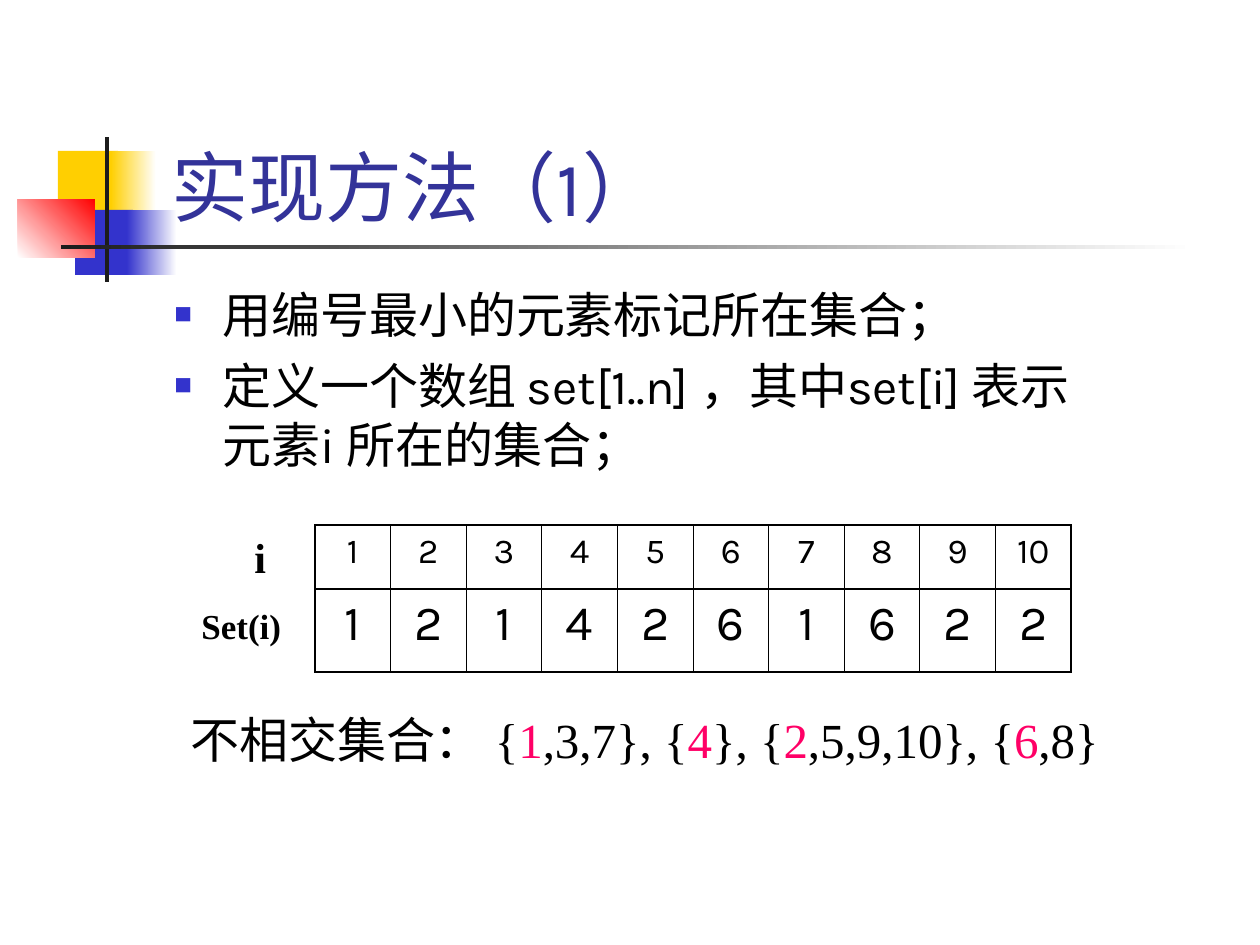
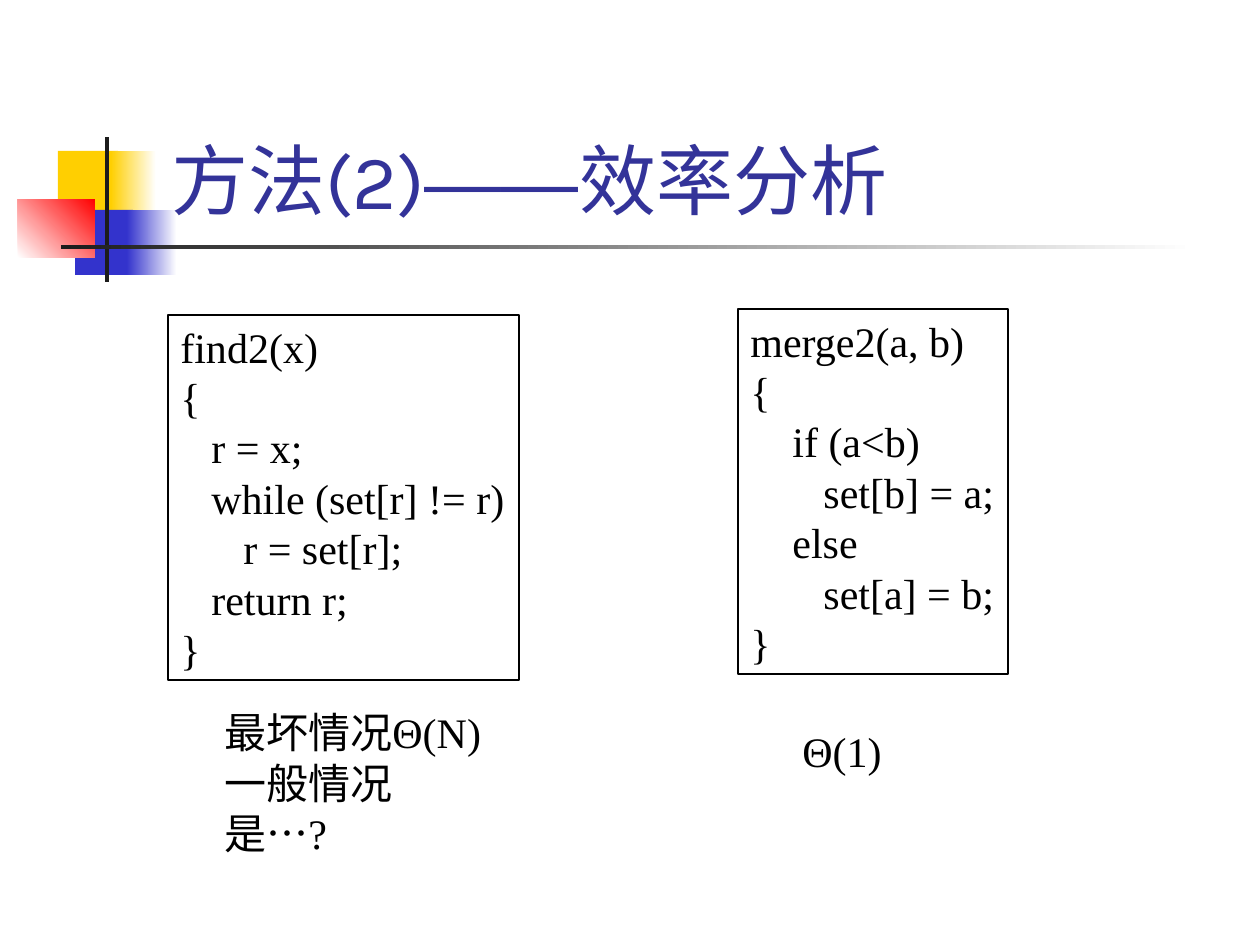
from lxml.etree import SubElement as Sub
from pptx import Presentation
from pptx.dml.color import RGBColor as RGB
from pptx.enum.shapes import MSO_SHAPE as Shape
from pptx.enum.text import MSO_ANCHOR as Anchor, MSO_AUTO_SIZE as Fit, PP_ALIGN as Align
from pptx.oxml.ns import qn
from pptx.util import Emu, Pt

SCALE = 914400 / 126

BLACK = RGB(0x00, 0x00, 0x00)
WHITE = RGB(0xFF, 0xFF, 0xFF)
INK = RGB(0x1C, 0x1C, 0x1C)
GOLD = RGB(0xFF, 0xCF, 0x01)
BLUE = RGB(0x33, 0x33, 0xCC)
RED = RGB(0xFF, 0x00, 0x00)
NAVY = RGB(0x33, 0x33, 0x99)
PINK = RGB(0xFF, 0x00, 0x66)

SANS, SERIF, PLAIN = "Karla", "Times New Roman", "Arial"
HEAD = {"name": SANS, "size": Pt(44), "color": NAVY}
BODY = {"name": SANS, "size": Pt(28), "color": BLACK}
CODE = {"name": SERIF, "size": Pt(24), "color": BLACK}
SETS = CODE | {"size": Pt(28)}
THICK, THIN = Pt(1.08), Pt(0.45)


def px(*nums):
    return [Emu(round(n * SCALE)) for n in nums]


def put(obj, **vals):
    for key, val in vals.items():
        setattr(obj, key, val)


def tune(para, **vals):
    """Set XML attributes of a paragraph and return its properties."""
    props = para._p.get_or_add_pPr()
    for key, val in vals.items():
        props.set(key, str(val))
    return props


def write(para, text, form, **more):
    """Add a run, formatted by the values of form and more."""
    run = para.add_run()
    run.text = text
    vals = form | more
    run.font.color.rgb = vals.pop("color")
    put(run.font, **vals)


def frame(slide, box, **vals):
    shape = slide.shapes.add_textbox(*px(*box))
    put(shape.text_frame, **({"word_wrap": True} | vals))
    return shape


def label(slide, box, text, form, **vals):
    shape = frame(slide, box, auto_size=Fit.SHAPE_TO_FIT_TEXT, **vals)
    write(shape.text_frame.paragraphs[0], text, form)


def lines(area):
    """Yield the first paragraph of a text frame, then new ones."""
    yield area.paragraphs[0]
    while True:
        yield area.add_paragraph()


def block(slide, box, tint, fade=None, turn=0):
    """Draw a plain rectangle, or one that runs from tint to fade."""
    shape = slide.shapes.add_shape(Shape.RECTANGLE, *px(*box))
    shape.shadow.inherit = False
    shape.line.fill.background()
    fill = shape.fill
    if fade is None:
        fill.solid()
        fill.fore_color.rgb = tint
        return
    fill.gradient()
    fill.gradient_angle = turn
    for stop, hue in zip(fill.gradient_stops, (tint, fade)):
        stop.color.rgb = hue


def emblem(slide, left, top):
    """Draw the squares and the crossed bars beside the title."""
    for x, y, wide, high, *look in (
        (40, 15, 60, 66, GOLD),
        (93, 15, 45, 66, GOLD, WHITE),
        (57, 74, 58, 65, BLUE),
        (109, 74, 50, 65, BLUE, WHITE),
        (0, 63, 77, 59, WHITE, RED, 45),
        (87, 1, 4, 145, INK),
        (43, 109, 1134, 4, INK, WHITE),
    ):
        block(slide, (left + x, top + y, wide, high), *look)


def start(deck, box, *parts):
    """Add a slide with the emblem and a title of (text, font) parts."""
    slide = deck.slides.add_slide(deck.slide_layouts[6])
    emblem(slide, 18, 136)
    para = frame(slide, box, vertical_anchor=Anchor.BOTTOM).text_frame.paragraphs[0]
    for text, name in parts:
        write(para, text, HEAD, name=name)
    return slide


def bullets(slide, box, items):
    area = frame(slide, box).text_frame
    inset = px(48)[0]
    for text, para in zip(items, lines(area)):
        write(para, text, BODY)
        para.space_before = Pt(7)
        props = tune(para, marL=inset, indent=-inset)
        Sub(Sub(props, qn("a:buClr")), qn("a:srgbClr"), val=str(BLUE))
        Sub(props, qn("a:buSzPct"), val="60000")
        Sub(props, qn("a:buFont"), typeface=PLAIN)
        Sub(props, qn("a:buChar"), char="■")


def border(cell, **sides):
    props = cell._tc.get_or_add_tcPr()
    for at, (side, width) in enumerate(sides.items()):
        edge = Sub(props, qn(f"a:ln{side}"), w=str(width))
        Sub(Sub(edge, qn("a:solidFill")), qn("a:srgbClr"), val=str(BLACK))
        props.insert(at, edge)


def grid(slide, box, rows):
    """Draw a table; each row is (height, text size, space above, values)."""
    count = len(rows[0][-1])
    table = slide.shapes.add_table(len(rows), count, *px(*box)).table
    put(table, first_row=False, horz_banding=False)
    for col in table.columns:
        col.width = px(box[2] / count)[0]
    for r, (high, size, gap, vals) in enumerate(rows):
        table.rows[r].height = px(high)[0]
        for c, val in enumerate(vals):
            cell = table.cell(r, c)
            cell.fill.background()
            para = cell.text_frame.paragraphs[0]
            put(para, alignment=Align.CENTER, space_before=Pt(gap))
            write(para, str(val), BODY, size=Pt(size))
            border(cell, L=THIN if c else THICK,
                   R=THIN if c < count - 1 else THICK, T=THICK, B=THICK)


def groups(slide, box, lead, sets):
    """List the sets, with the first member of each in pink."""
    shape = frame(slide, box, auto_size=Fit.SHAPE_TO_FIT_TEXT)
    para = shape.text_frame.paragraphs[0]
    mark = lead + " {"
    for first, *rest in sets:
        write(para, mark, SETS)
        write(para, str(first), SETS, color=PINK)
        mark = "".join(f",{n}" for n in rest) + "}, {"
    write(para, mark.removesuffix(", {"), SETS)


def code(slide, box, rows):
    """Draw framed code; each row is (indent in px, text)."""
    shape = frame(slide, box, word_wrap=False, auto_size=Fit.SHAPE_TO_FIT_TEXT)
    shape.line.color.rgb = BLACK
    shape.line.width = Pt(0.75)
    for (inset, text), para in zip(rows, lines(shape.text_frame)):
        write(para, text, CODE)
        tune(para, marL=px(inset)[0])


def notes(slide, box, rows):
    shape = frame(slide, box, vertical_anchor=Anchor.MIDDLE,
                  auto_size=Fit.SHAPE_TO_FIT_TEXT)
    for text, para in zip(rows, lines(shape.text_frame)):
        write(para, text, CODE)
        tune(para, hangingPunct=0)


def array(deck):
    slide = start(deck, (159, 29, 1089, 209), ("实现方法（1）", SANS))
    bullets(slide, (162, 278, 964, 224), (
        "用编号最小的元素标记所在集合；",
        "定义一个数组 set[1..n] ，其中set[i] 表示元素i 所在的集合；",
    ))
    grid(slide, (315, 525, 756, 147), (
        (64, 20, 5, range(1, 11)),
        (83, 28, 7, (1, 2, 1, 4, 2, 6, 1, 6, 2, 2)),
    ))
    bold = CODE | {"bold": True}
    label(slide, (242, 525, 37, 63), "i", bold, word_wrap=False)
    label(slide, (189, 598, 116, 55), "Set(i)", bold | {"size": Pt(20)})
    groups(slide, (178, 703, 955, 72), "不相交集合：",
           ((1, 3, 7), (4,), (2, 5, 9, 10), (6, 8)))


def cost(deck):
    slide = start(deck, (159, 29, 1074, 202),
                  ("方法(2)", SANS), ("——", PLAIN), ("效率分析", SANS))
    code(slide, (168, 315, 351, 365), (
        (0, "find2(x)"),
        (0, "{"),
        (31, "r = x;"),
        (31, "while (set[r] != r)"),
        (63, "r = set[r];"),
        (31, "return r;"),
        (0, "}"),
    ))
    code(slide, (738, 309, 270, 365), (
        (0, "merge2(a, b)"),
        (0, "{"),
        (42, "if (a<b)"),
        (73, "set[b] = a;"),
        (42, "else"),
        (73, "set[a] = b;"),
        (0, "}"),
    ))
    label(slide, (790, 719, 105, 63), "Θ(1)", CODE, word_wrap=False)
    notes(slide, (212, 726, 292, 113), ("最坏情况Θ(N)", "一般情况是…?"))


def main():
    deck = Presentation()
    wide, high = px(1260, 945)
    put(deck, slide_width=wide, slide_height=high)
    array(deck)
    cost(deck)
    deck.save("out.pptx")


if __name__ == "__main__":
    main()
